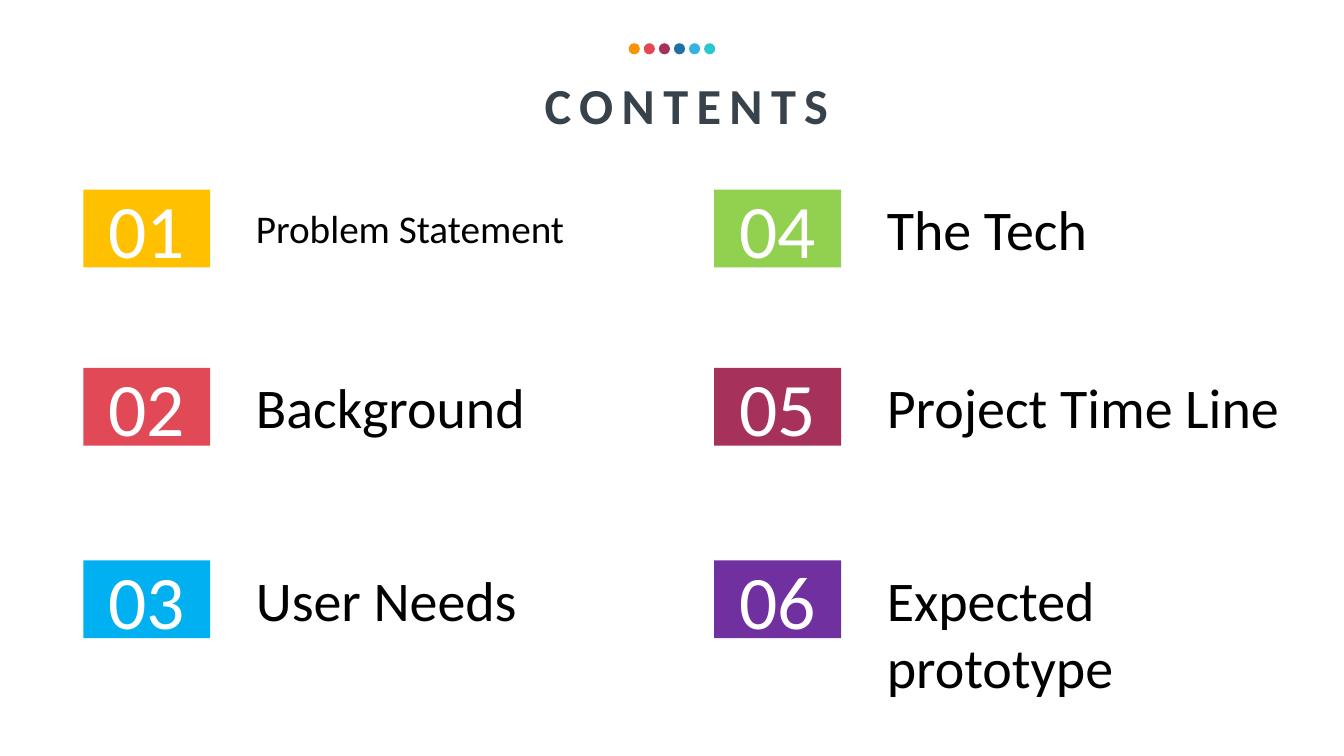
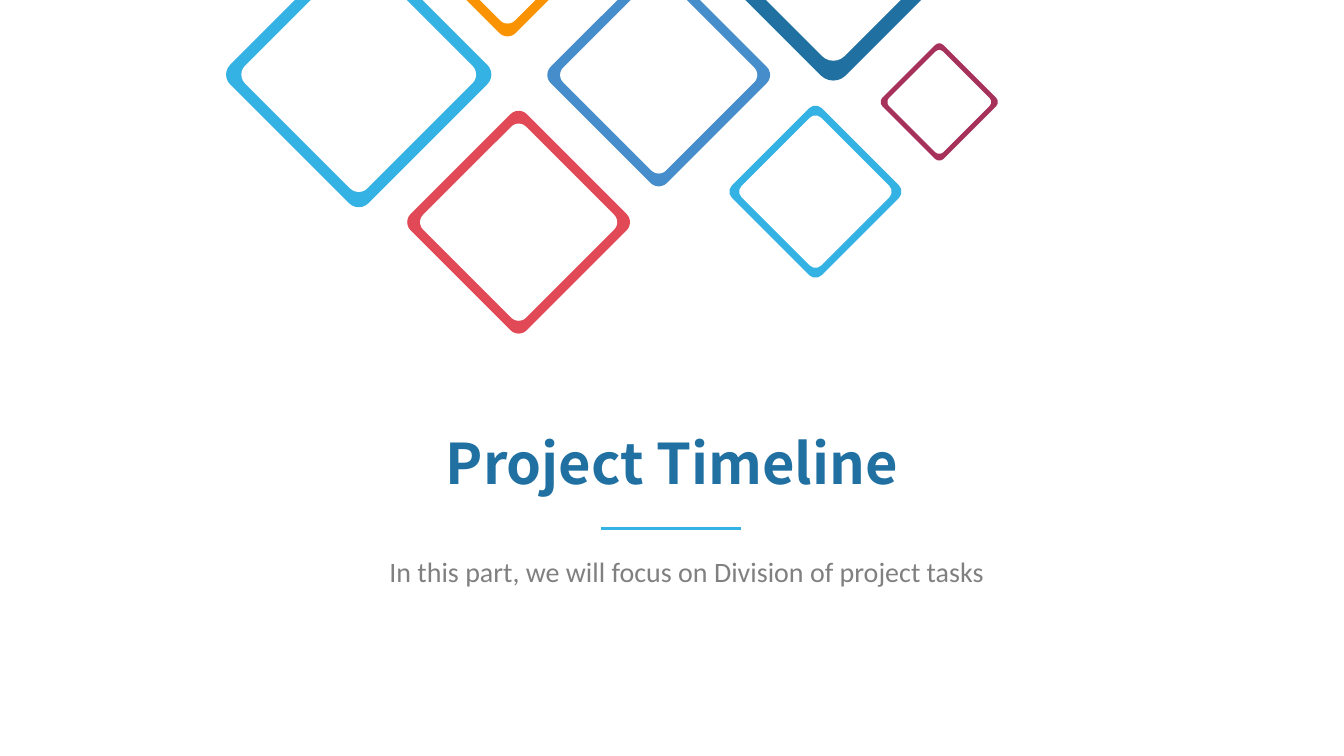
import pptx
import pptx.util
import pptx.dml.color
import pptx.enum.shapes
import pptx.enum.text
import pptx.oxml

Cm = pptx.util.Cm
Pt = pptx.util.Pt
SHAPES = pptx.enum.shapes.MSO_SHAPE
ALIGN = pptx.enum.text.PP_ALIGN
ANCHOR = pptx.enum.text.MSO_ANCHOR

SLIDE_W, SLIDE_H = 33.87, 19.05
BODY_FONT, HEADING_FONT = "Calibri", "Noto Sans CJK SC"
WHITE, BLACK, GREY, SLATE = "FFFFFF", "000000", "808080", "38424B"
ORANGE, RED, MAROON, NAVY, SKY, AQUA = "F99302", "E14956", "A6315B", "2070A1", "34B2E4", "2CC6D2"
BLUE = "458DCB"

CONTENTS = [
    [("01", "Problem Statement", "FFC000", 28), ("02", "Background", RED, 40), ("03", "User Needs", "00B0F0", 40)],
    [("04", "The Tech", "92D050", 40), ("05", "Project Time Line", MAROON, 40), ("06", "Expected prototype", "7030A0", 40)],
]
COLUMN_LEFTS = [2.1, 18]
ROW_TOPS = [4.78, 9.27, 14.12]
TILE_W, TILE_H = 3.2, 1.96
LABEL_OFFSET, LABEL_W = 4.1, 11.76

DIAMONDS = [
    (12.79, -1.89, 4.14, ORANGE),
    (16.6, 1.89, 4.14, BLUE),
    (13.07, 5.6, 4.14, RED),
    (21, -2.31, 6.4, NAVY),
    (9.04, 1.88, 4.93, SKY),
    (23.67, 2.57, 2.18, MAROON),
    (20.55, 4.83, 3.2, SKY),
]


def rgb(code):
    """Return the colour of a hex string."""
    return pptx.dml.color.RGBColor.from_string(code)


def place(part, left, top, width, height):
    """Move and size a part, in centimetres."""
    part.left, part.top, part.width, part.height = Cm(left), Cm(top), Cm(width), Cm(height)


def write(part, text, size, colour, font=BODY_FONT, bold=False, align=ALIGN.CENTER, anchor=ANCHOR.TOP, spacing=0):
    """Fill a part with one formatted paragraph."""
    frame = part.text_frame
    frame.text = text
    frame.auto_size = pptx.enum.text.MSO_AUTO_SIZE.NONE
    frame.word_wrap = True
    frame.vertical_anchor = anchor
    paragraph = frame.paragraphs[0]
    paragraph.alignment = align
    paragraph.space_before = Pt(0)
    run = paragraph.runs[0]
    run.font.name, run.font.size, run.font.bold = font, Pt(size), bold
    run.font.color.rgb = rgb(colour)
    if spacing:
        run._r.get_or_add_rPr().set("spc", str(spacing * 100))


def add_block(slide, kind, left, top, width, height, colour):
    """Add a flat filled shape without outline."""
    block = slide.shapes.add_shape(kind, Cm(left), Cm(top), Cm(width), Cm(height))
    block.shadow.inherit = False
    block.fill.solid()
    block.fill.fore_color.rgb = rgb(colour)
    block.line.fill.background()
    return block


def add_dots(slide, centre, top, size=0.28, pitch=0.38):
    """Add the row of coloured dots around a centre."""
    colours = [ORANGE, RED, MAROON, NAVY, SKY, AQUA]
    left = centre - ((len(colours) - 1) * pitch + size) / 2
    for index, colour in enumerate(colours):
        add_block(slide, SHAPES.OVAL, left + index * pitch, top, size, size, colour)


def add_entry(slide, left, top, number, topic, colour, size):
    """Add a numbered tile with its topic beside it."""
    tile = add_block(slide, SHAPES.RECTANGLE, left, top, TILE_W, TILE_H, colour)
    write(tile, number, 54, WHITE, anchor=ANCHOR.MIDDLE)
    height = Pt(size * 1.22).cm + 0.25
    topic_top = top + (TILE_H - height) / 2
    label = slide.shapes.add_textbox(Cm(left + LABEL_OFFSET), Cm(topic_top), Cm(LABEL_W), Cm(height))
    write(label, topic, size, BLACK, align=ALIGN.LEFT)


def add_diamond(slide, centre_x, centre_y, side, colour):
    """Add a rounded diamond frame around a centre."""
    for edge, fill in ((side, colour), (side * 0.885, WHITE)):
        layer = add_block(slide, SHAPES.ROUNDED_RECTANGLE, centre_x - edge / 2, centre_y - edge / 2, edge, edge, fill)
        layer.adjustments[0] = 0.07
        layer.rotation = 45


def add_rule(slide, left, top, width):
    """Add the short line under a section title."""
    rule = slide.shapes.add_connector(
        pptx.enum.shapes.MSO_CONNECTOR.STRAIGHT, Cm(left), Cm(top), Cm(left + width), Cm(top))
    rule.line.color.rgb = rgb(SKY)
    rule.line.width = Pt(2)
    rule._element.spPr.append(pptx.oxml.parse_xml(
        '<a:effectLst xmlns:a="http://schemas.openxmlformats.org/drawingml/2006/main"/>'))


def build_contents(deck):
    """Build the contents slide."""
    slide = deck.slides.add_slide(deck.slide_layouts[5])
    place(slide.shapes.title, 12.3, 1.75, 10, 1.8)
    write(slide.shapes.title, "CONTENTS", 36, SLATE, bold=True, spacing=6)
    add_dots(slide, SLIDE_W / 2, 1.09)
    for left, entries in zip(COLUMN_LEFTS, CONTENTS):
        for top, entry in zip(ROW_TOPS, entries):
            add_entry(slide, left, top, *entry)


def build_section(deck, title, summary):
    """Build a section opener with diamonds above its title."""
    slide = deck.slides.add_slide(deck.slide_layouts[0])
    for diamond in DIAMONDS:
        add_diamond(slide, *diamond)
    place(slide.shapes.title, 8.93, 10.67, 16, 1.96)
    write(slide.shapes.title, title, 40, NAVY, font=HEADING_FONT, bold=True)
    add_rule(slide, 15.14, 13.31, 3.53)
    subtitle = slide.placeholders[1]
    place(subtitle, 8.94, 13.84, 16.74, 1.12)
    write(subtitle, summary, 20, GREY)


def main():
    """Build and save the deck."""
    deck = pptx.Presentation()
    deck.slide_width, deck.slide_height = Cm(SLIDE_W), Cm(SLIDE_H)
    build_contents(deck)
    build_section(deck, "Project Timeline", "In this part, we will focus on Division of project tasks")
    deck.save("out.pptx")


if __name__ == "__main__":
    main()
